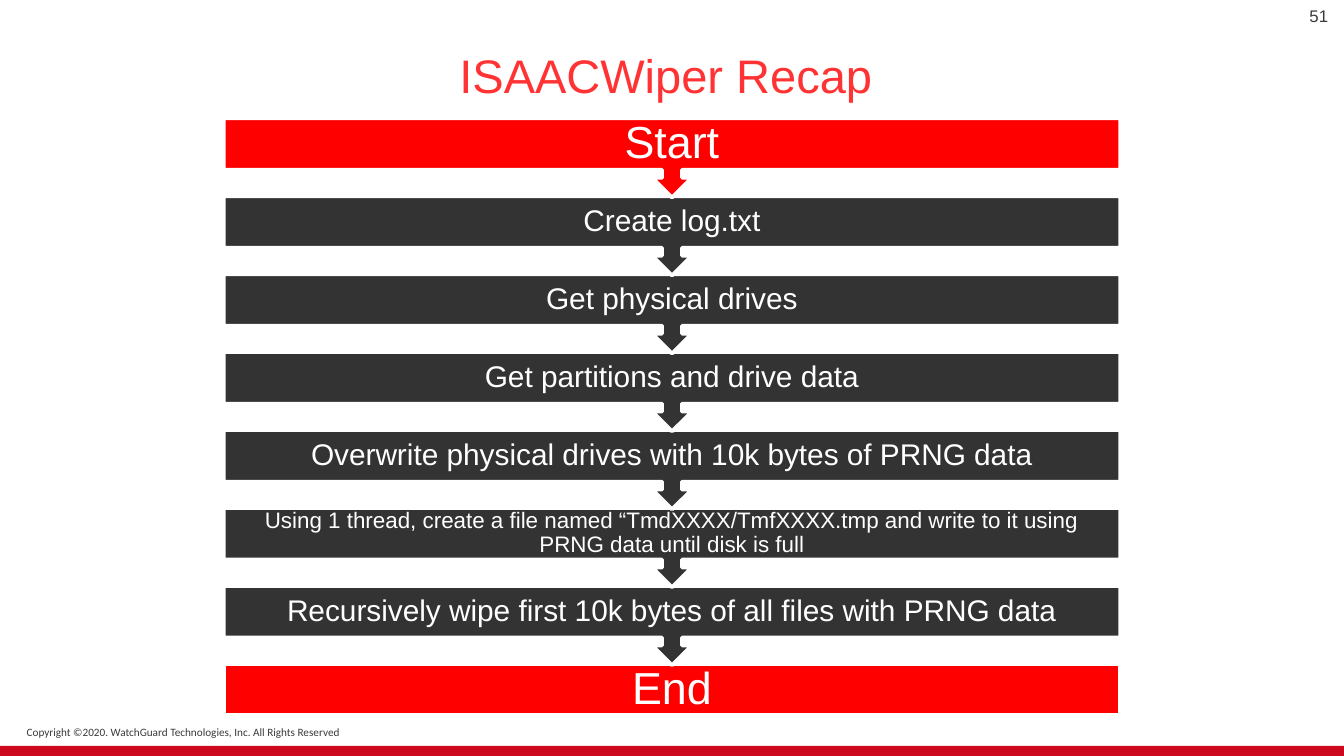
from dataclasses import dataclass

import pptx
import pptx.dml.color
import pptx.enum.shapes
import pptx.enum.text
import pptx.util

Inches = pptx.util.Inches
Shape = pptx.enum.shapes.MSO_SHAPE
Align = pptx.enum.text.PP_ALIGN
Anchor = pptx.enum.text.MSO_ANCHOR

COLORS = {
    "accent": "FF0000",
    "step": "333333",
    "title": "FF3333",
    "footer": "CD0920",
    "text": "3A3A3A",
    "white": "FFFFFF",
}

# Widescreen slide and centred flow, in inches
SLIDE_W = 10
SLIDE_H = SLIDE_W * 9 / 16
TOP, WIDTH = 0.88, 6.67
LEFT = (SLIDE_W - WIDTH) / 2
PITCH, BAR_H, CALLOUT_H = 0.58, 0.38, 0.59
FOOTER_Y = 5.55


@dataclass
class Step:
    text: str
    size: float = 16
    inset: float = 0.12
    fill: str = "step"


STEPS = [
    Step("Start", 24, 0.19, "accent"),
    Step("Create log.txt"),
    Step("Get physical drives"),
    Step("Get partitions and drive data"),
    Step("Overwrite physical drives with 10k bytes of PRNG data"),
    Step("Using 1 thread, create a file named “TmdXXXX/TmfXXXX.tmp and write to it "
         "using PRNG data until disk is full", 12, 0.09),
    Step("Recursively wipe first 10k bytes of all files with PRNG data"),
    Step("End", 24, 0.19, "accent"),
]


def rgb(name: str) -> pptx.dml.color.RGBColor:
    return pptx.dml.color.RGBColor.from_string(COLORS[name])


def add_block(s, kind, x: float, y: float, w: float, h: float, fill: str,
              outlined: bool = False):
    sp = s.shapes.add_shape(kind, Inches(x), Inches(y), Inches(w), Inches(h))
    sp.shadow.inherit = False
    sp.fill.solid()
    sp.fill.fore_color.rgb = rgb(fill)
    if outlined:
        sp.line.color.rgb = rgb("white")
        sp.line.width = pptx.util.Pt(2)
    else:
        sp.line.fill.background()
    return sp


def add_text(s, text: str, x: float, y: float, w: float, h: float, size: float,
             color: str, align=Align.LEFT, anchor=Anchor.MIDDLE, font: str = "Arial"):
    tf = s.shapes.add_textbox(Inches(x), Inches(y), Inches(w), Inches(h)).text_frame
    tf.word_wrap = True
    tf.vertical_anchor = anchor
    tf.text = text
    p = tf.paragraphs[0]
    p.alignment = align
    r = p.runs[0]
    r.font.name = font
    r.font.size = pptx.util.Pt(size)
    r.font.color.rgb = rgb(color)
    return tf


def add_step(s, step: Step, y: float, last: bool) -> None:
    if last:
        add_block(s, Shape.RECTANGLE, LEFT, y, WIDTH, BAR_H, step.fill, True)
    else:
        sp = add_block(s, Shape.UP_ARROW_CALLOUT, LEFT, y, WIDTH, CALLOUT_H,
                       step.fill, True)
        sp.rotation = 180
    tf = add_text(s, step.text, LEFT, y, WIDTH, BAR_H, step.size, "white", Align.CENTER)
    tf.margin_left = tf.margin_right = Inches(step.inset)
    tf.margin_top = tf.margin_bottom = Inches(step.inset)
    tf.paragraphs[0].line_spacing = 0.9


def main() -> None:
    prs = pptx.Presentation()
    prs.slide_width, prs.slide_height = Inches(SLIDE_W), Inches(SLIDE_H)
    s = prs.slides.add_slide(prs.slide_layouts[6])

    # Footer, title and page number
    add_block(s, Shape.RECTANGLE, 0, FOOTER_Y, SLIDE_W, SLIDE_H - FOOTER_Y, "footer")
    add_text(s, "Copyright ©2020. WatchGuard Technologies, Inc. All Rights Reserved",
             0.1, 5.35, 2.68, 0.2, 6, "text", anchor=Anchor.TOP, font="Calibri")
    add_text(s, "ISAACWiper Recap", 3.32, 0.08, 3.36, 0.95, 25.2, "title")
    add_text(s, "51", 9.33, -0.03, 0.65, 0.3, 9, "text", Align.RIGHT)

    # Flow, drawn from the bottom up so each arrow overlaps the next bar
    end = len(STEPS) - 1
    for i in range(end, -1, -1):
        add_step(s, STEPS[i], TOP + i * PITCH, i == end)

    prs.save("out.pptx")


if __name__ == "__main__":
    main()
